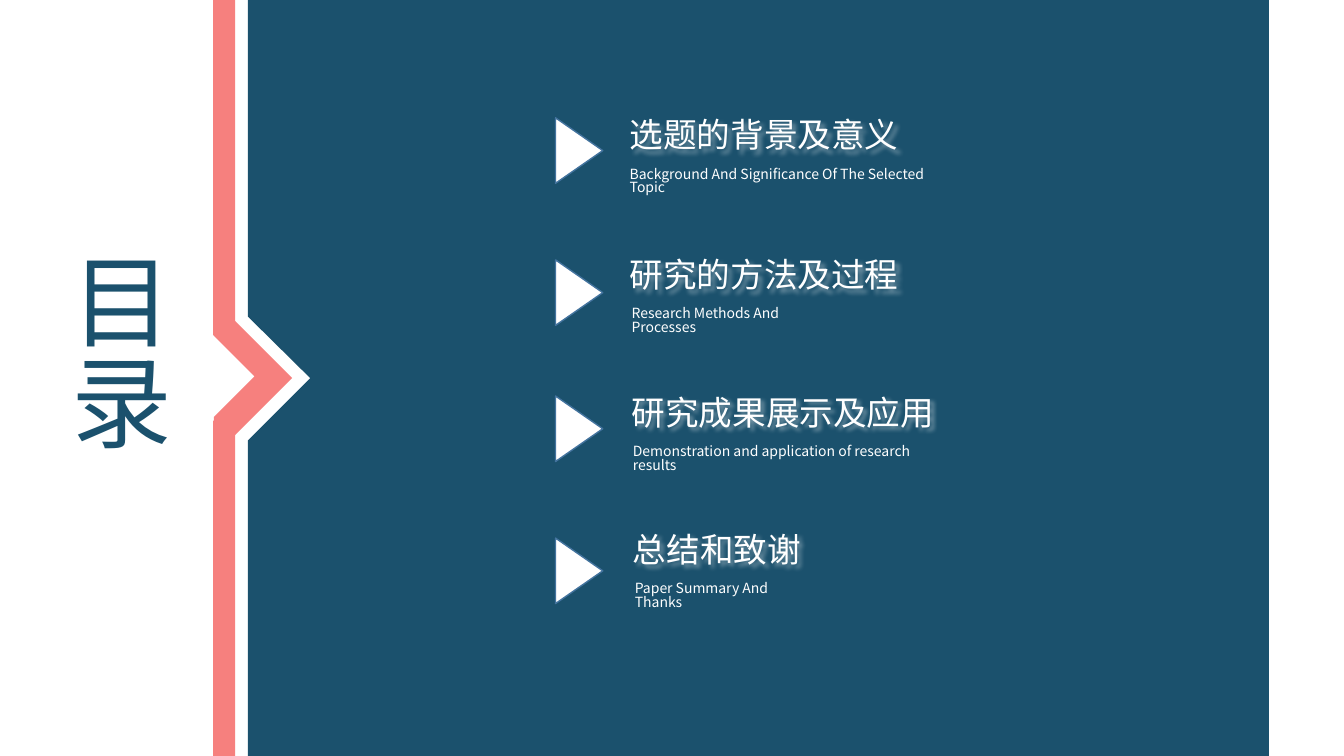
from lxml import etree
from pptx import Presentation
from pptx import util as u
from pptx.dml import color
from pptx.enum import shapes, text
from pptx.oxml import ns

Cm = u.Cm
FACE = "Noto Sans CJK SC"
NAVY, CORAL, WHITE, EDGE = "1B516D", "F6807E", "FFFFFF", "43739E"

# arrow top, heading (left, top, width), caption (left, top, width), texts
ITEMS = [
    (3.2, (15.62, 2.87, 7.67), (15.62, 4.11, 8.71),
     "选题的背景及意义", "Background And Significance Of The Selected Topic"),
    (6.78, (15.62, 6.4, 7.67), (15.67, 7.62, 5.79),
     "研究的方法及过程", "Research Methods And Processes"),
    (10.21, (15.67, 9.86, 8.18), (15.7, 11.1, 8.46),
     "研究成果展示及应用", "Demonstration and application of research results"),
    (13.79, (15.7, 13.31, 7.67), (15.75, 14.55, 5.0),
     "总结和致谢", "Paper Summary And Thanks"),
]
PANEL = [(6.25, 19.05), (6.25, 11.1), (7.82, 9.53), (6.25, 7.98),
         (6.25, 0), (11.07, 0), (11.07, 19.05)]


def rgb(code):
    return color.RGBColor.from_string(code)


def paint(shape, fill, line=None):
    shape.shadow.inherit = False
    shape.fill.solid()
    shape.fill.fore_color.rgb = rgb(fill)
    if line:
        shape.line.color.rgb = rgb(line)
        shape.line.width = u.Pt(1)
    else:
        shape.line.fill.background()


def block(slide, kind, box, fill, line=None, turn=0):
    shape = slide.shapes.add_shape(kind, *map(Cm, box))
    shape.rotation = turn
    paint(shape, fill, line)
    return shape


def write(shape, words, size, tint, space):
    frame = shape.text_frame
    frame.word_wrap = True
    frame.vertical_anchor = text.MSO_ANCHOR.TOP
    frame.text = words
    para = frame.paragraphs[0]
    para.line_spacing = space
    font = para.font
    font.size, font.name = u.Pt(size), FACE
    font.color.rgb = rgb(tint)
    latin = para._p.pPr.find(ns.qn("a:defRPr")).find(ns.qn("a:latin"))
    east = etree.Element(ns.qn("a:ea"), typeface=FACE)
    latin.addnext(east)
    return para


def label(slide, spot, high, words, size, space):
    left, top, wide = spot
    box = slide.shapes.add_textbox(Cm(left), Cm(top), Cm(wide), Cm(high))
    write(box, words, size, WHITE, space)
    return box


def glow(shape):
    """Give the text of an unfilled box a soft pale shadow."""
    props = shape._element.spPr
    list_ = etree.SubElement(props, ns.qn("a:effectLst"))
    cast = etree.SubElement(list_, ns.qn("a:outerShdw"), blurRad="38100",
                            dist="38100", dir="2700000", algn="tl")
    tone = etree.SubElement(cast, ns.qn("a:srgbClr"), val=WHITE)
    etree.SubElement(tone, ns.qn("a:alpha"), val="40000")


def title(slide):
    """Set the heading as one upright column."""
    head = slide.shapes.title
    head.left, head.top = Cm(1.19), Cm(6.2)
    head.width, head.height = Cm(3.58), Cm(6.65)
    para = write(head, "目录", 72, NAVY, 1)
    para.alignment = text.PP_ALIGN.JUSTIFY
    head.text_frame._txBody.bodyPr.set("vert", "eaVert")


def panel(slide):
    points = [(Cm(x), Cm(y)) for x, y in PANEL]
    pen = slide.shapes.build_freeform(*points[0], scale=1)
    pen.add_line_segments(points[1:], close=True)
    paint(pen.convert_to_shape(), NAVY)


def ribbon(slide):
    kind = shapes.MSO_SHAPE
    bend = block(slide, kind.HALF_FRAME, (3.99, 8.13, 2.79, 2.79),
                 CORAL, turn=135)
    bend.adjustments[0], bend.adjustments[1] = 0.25, 0.23
    for top in (0, 10.6):
        block(slide, kind.RECTANGLE, (5.37, top, 0.56, 8.45), CORAL)


def main():
    deck = Presentation()
    deck.slide_width, deck.slide_height = Cm(33.87), Cm(19.05)
    slide = deck.slides.add_slide(deck.slide_layouts[5])
    kind = shapes.MSO_SHAPE
    panel(slide)
    ribbon(slide)
    block(slide, kind.RECTANGLE, (10.64, 0, 21.34, 19.05), NAVY)
    title(slide)
    for top, head, note, words, gloss in ITEMS:
        block(slide, kind.ISOSCELES_TRIANGLE, (13.77, top, 1.65, 1.19),
              WHITE, EDGE, 90)
        glow(label(slide, head, 1.27, words, 24, 0.9))
        label(slide, note, 0.69, gloss, 10, 0.82)
    deck.save("out.pptx")


if __name__ == "__main__":
    main()
